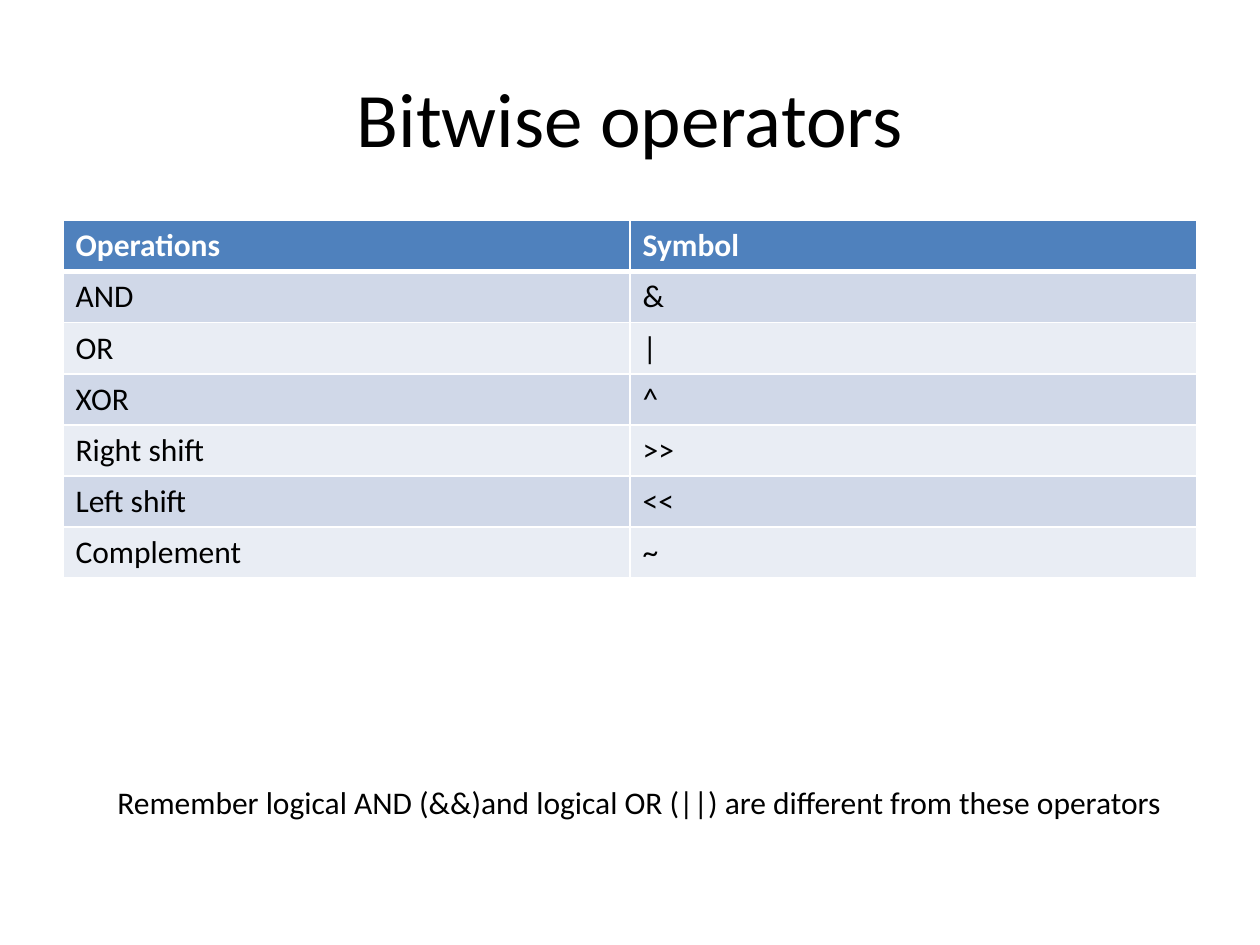
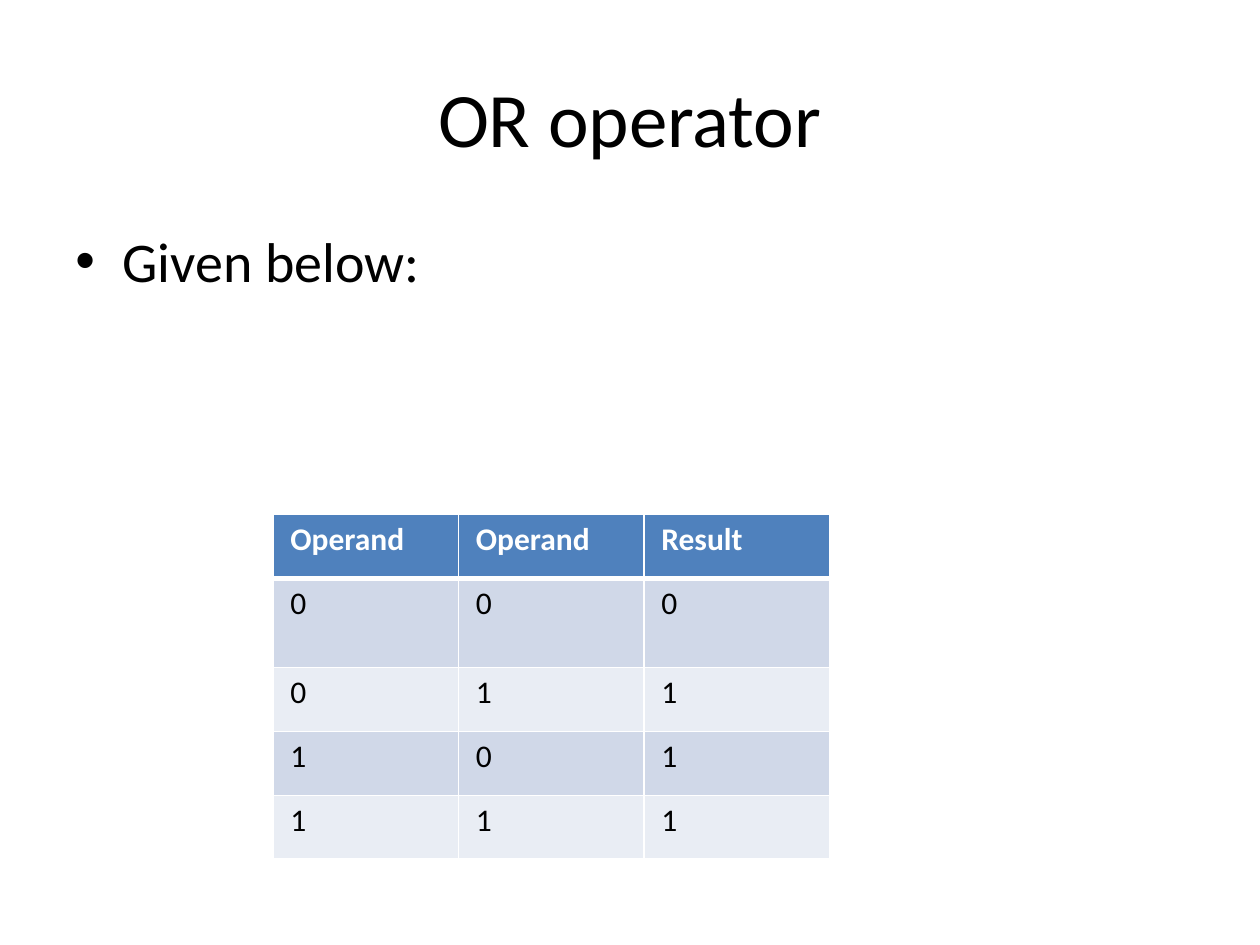
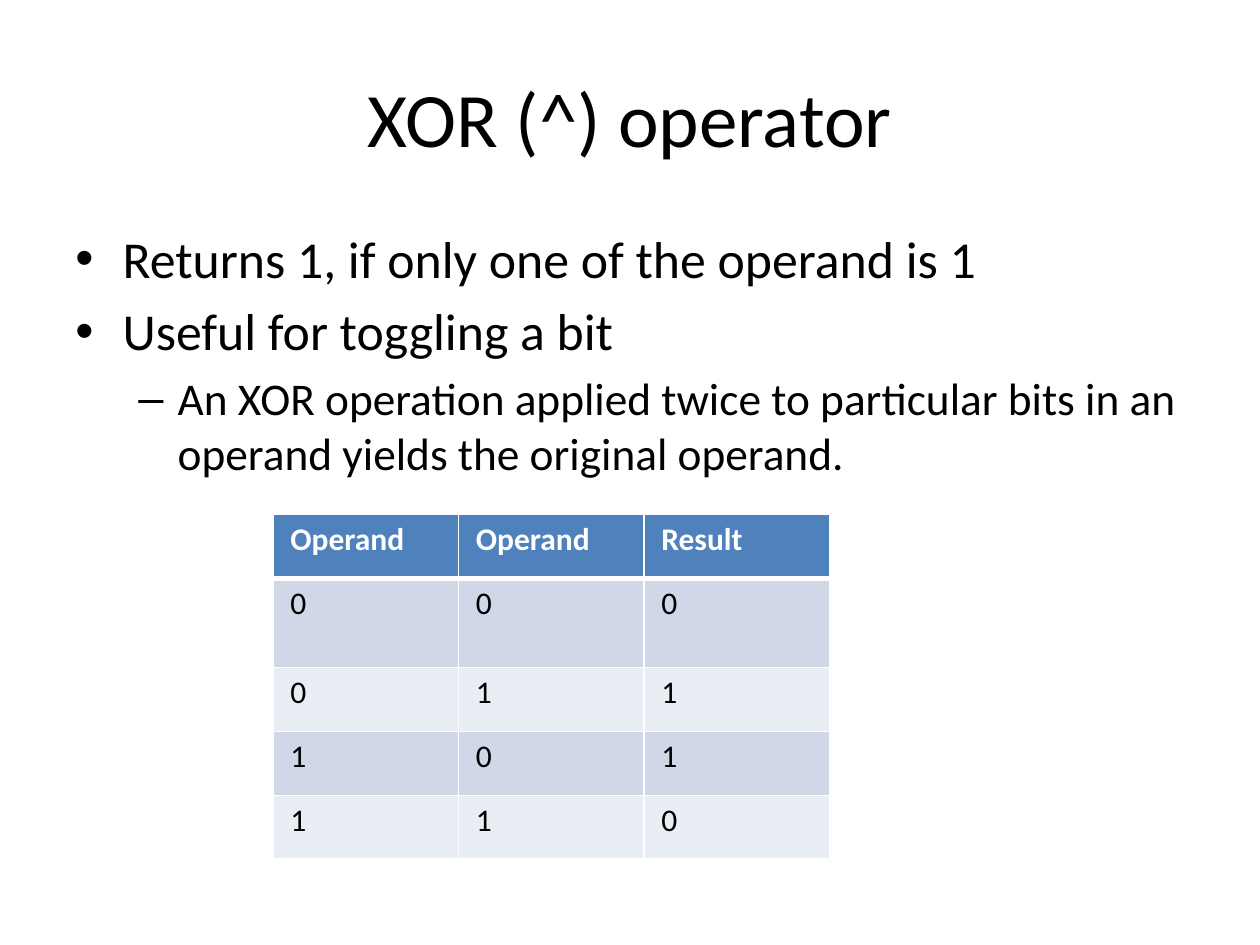
"""Three slides on bitwise operators, each with a table."""
from dataclasses import dataclass

import pptx
import pptx.dml.color
import pptx.enum.text
import pptx.oxml
import pptx.oxml.ns
import pptx.util

Pt = pptx.util.Pt
ALIGN = pptx.enum.text.PP_ALIGN
ANCHOR = pptx.enum.text.MSO_ANCHOR


@dataclass(frozen=True)
class Theme:
    """Colours, font and type sizes that the slides share."""
    font: str = "Calibri"
    ink: str = "000000"
    paper: str = "FFFFFF"
    header: str = "4F81BD"
    bands: tuple = ("D0D8E8", "E9EDF4")
    title_size: float = 44
    body_size: float = 32
    compact_size: float = 29.6
    compact_sub_size: float = 25.9
    small_size: float = 18
    rule: float = 1
    header_rule: float = 3


THEME = Theme()
MARGIN, CONTENT_WIDTH, CONTENT_TOP = 36, 648, 126
# Bullet character, left margin and hanging indent of each list level
LEVELS = (("\u2022", 27, 27), ("\u2013", 58.5, 22.5))


def rgb(code):
    """Turn a hex code into a colour."""
    return pptx.dml.color.RGBColor.from_string(code)


def write(para, text, *, size=THEME.small_size, color=THEME.ink, bold=False,
          align=ALIGN.LEFT, before=0):
    """Put formatted text into a paragraph."""
    para.alignment = align
    para.space_before = Pt(before)
    span = para.add_run()
    span.text = text
    span.font.name = THEME.font
    span.font.size = Pt(size)
    span.font.bold = bold
    span.font.color.rgb = rgb(color)


def add_bullet(para, level):
    """Give a paragraph the bullet and hanging indent of its level."""
    mark, left, hang = LEVELS[level]
    para.level = level
    properties = para._p.get_or_add_pPr()
    properties.set("marL", str(Pt(left)))
    properties.set("indent", str(-Pt(hang)))
    for tag, key, value in (("a:buFont", "typeface", "Arial"),
                            ("a:buChar", "char", mark)):
        element = pptx.oxml.ns.qn(tag)
        properties.append(properties.makeelement(element, {key: value}))


def add_box(page, left, top, width, height, anchor=ANCHOR.TOP):
    """Add a wrapping text box and return its text frame."""
    box = page.shapes.add_textbox(Pt(left), Pt(top), Pt(width), Pt(height))
    frame = box.text_frame
    frame.word_wrap = True
    frame.vertical_anchor = anchor
    return frame


def add_page(deck, title):
    """Add a blank page with a centred title."""
    page = deck.slides.add_slide(deck.slide_layouts[6])
    frame = add_box(page, MARGIN, 21.6, CONTENT_WIDTH, 90, ANCHOR.MIDDLE)
    write(frame.paragraphs[0], title, size=THEME.title_size, align=ALIGN.CENTER)
    return page


def add_list(page, height, items):
    """Add a bulleted list of (text, level, size) items."""
    frame = add_box(page, MARGIN, CONTENT_TOP, CONTENT_WIDTH, height)
    for index, (text, level, size) in enumerate(items):
        para = frame.add_paragraph() if index else frame.paragraphs[0]
        write(para, text, size=size, before=round(size * 0.2, 1))
        add_bullet(para, level)


def set_borders(cell, top, bottom):
    """Draw the four cell borders; top and bottom are widths in points."""
    properties = cell._tc.get_or_add_tcPr()
    widths = {"L": THEME.rule, "R": THEME.rule, "T": top, "B": bottom}
    for side, width in widths.items():
        properties.append(pptx.oxml.parse_xml(
            f'<a:ln{side} {pptx.oxml.ns.nsdecls("a")} w="{Pt(width)}">'
            f'<a:solidFill><a:srgbClr val="{THEME.paper}"/></a:solidFill>'
            f'</a:ln{side}>'))


def add_grid(page, rows, left, top, col_width, heights, side_inset=7.2):
    """Add a table with a header row and banded body rows."""
    columns = len(rows[0])
    table = page.shapes.add_table(
        len(rows), columns, Pt(left), Pt(top),
        Pt(col_width * columns), Pt(sum(heights))).table
    for column in table.columns:
        column.width = Pt(col_width)
    for r, (values, height) in enumerate(zip(rows, heights)):
        table.rows[r].height = Pt(height)
        is_header = r == 0
        fill = THEME.header if is_header else THEME.bands[(r - 1) % 2]
        for c, value in enumerate(values):
            cell = table.cell(r, c)
            cell.margin_left = cell.margin_right = Pt(side_inset)
            set_borders(cell,
                        top=THEME.header_rule if r == 1 else THEME.rule,
                        bottom=THEME.header_rule if is_header else THEME.rule)
            cell.fill.solid()
            cell.fill.fore_color.rgb = rgb(fill)
            write(cell.text_frame.paragraphs[0], value, bold=is_header,
                  color=THEME.paper if is_header else THEME.ink)


def add_truth_table(page, results):
    """Add the truth table of a two-operand operator."""
    operands = ("00", "01", "10", "11")
    rows = [("Operand", "Operand", "Result ")]
    rows += [(*pair, result) for pair, result in zip(operands, results)]
    add_grid(page, rows, 156, 294, 106, (36.5, 51, 36.5, 36.5, 36.5),
             side_inset=10)


def build_overview(deck):
    """Build the page that lists the operators."""
    page = add_page(deck, "Bitwise operators")
    rows = (("Operations", "Symbol"), ("AND", "&"), ("OR", "|"), ("XOR", "^"),
            ("Right shift", ">>"), ("Left shift", "<<"), ("Complement", "~"))
    add_grid(page, rows, MARGIN, CONTENT_TOP, CONTENT_WIDTH / 2,
             [29.2] * len(rows))
    note = add_box(page, 60, 444, 630, 29)
    write(note.paragraphs[0], "Remember logical AND (&&)and logical OR (||) "
          "are different from these operators")


def build_or(deck):
    """Build the OR page."""
    page = add_page(deck, "OR operator")
    add_list(page, 356.4, [("Given below:", 0, THEME.body_size)])
    add_truth_table(page, "0111")


def build_xor(deck):
    """Build the XOR page."""
    page = add_page(deck, "XOR (^) operator")
    add_list(page, 150, [
        ("Returns 1, if only one of the operand is 1", 0, THEME.compact_size),
        ("Useful for toggling a bit", 0, THEME.compact_size),
        ("An XOR operation applied twice to particular bits in an operand "
         "yields the original operand.", 1, THEME.compact_sub_size)])
    add_truth_table(page, "0110")


def main():
    """Build and save the deck."""
    deck = pptx.Presentation()
    deck.slide_width, deck.slide_height = Pt(720), Pt(540)
    build_overview(deck)
    build_or(deck)
    build_xor(deck)
    deck.save("out.pptx")


main()
